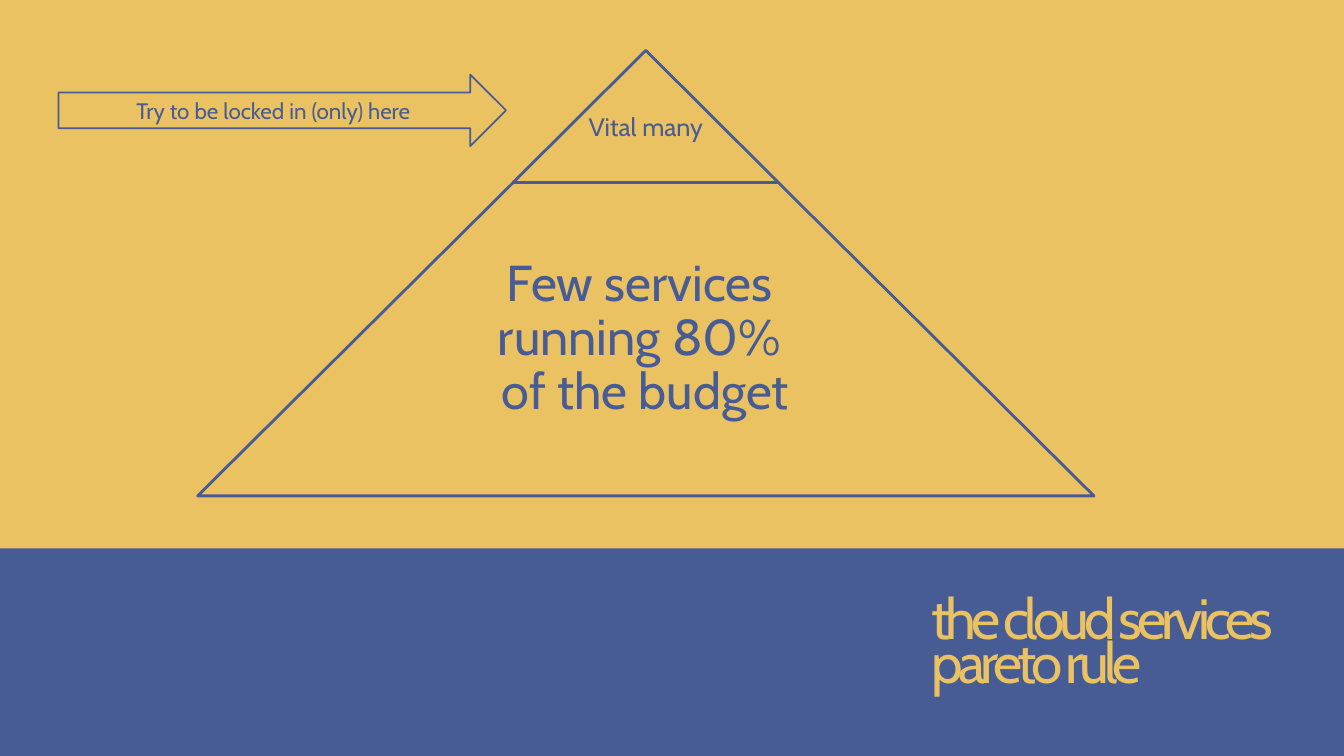
from dataclasses import dataclass

from pptx import Presentation
from pptx.dml.color import RGBColor
from pptx.enum.shapes import MSO_SHAPE
from pptx.enum.text import MSO_ANCHOR, MSO_AUTO_SIZE, PP_ALIGN
from pptx.util import Inches, Pt

FONT = "Cabin"
COLORS = {"blue": "475C95", "yellow": "EAC262"}
TIER_SLOPE = 1.007


@dataclass
class Box:
    left: float
    top: float
    width: float
    height: float

    def lengths(self):
        return [Inches(n) for n in (self.left, self.top, self.width, self.height)]


@dataclass
class Tier:
    outline: Box
    text_box: Box
    lines: list[str]
    size: float
    margin: float
    top_margin: float


TIERS = [
    Tier(Box(5.09, 0.5, 2.63, 1.31), Box(5.09, 0.5, 2.63, 1.31),
         ["Vital many"], 18, 0.02, 0.26),
    Tier(Box(1.96, 1.81, 8.89, 3.11), Box(3.51, 1.81, 5.78, 3.11),
         ["Few services ", "running 80% ", "of the budget"], 36, 0.05, 0.05),
]


def color(name: str) -> RGBColor:
    return RGBColor.from_string(COLORS[name])


def add_filled_shape(slide, kind, box: Box, fill: str, line_width: float = 0):
    """Add a flat shape, with a blue outline if a line width is given."""
    shape = slide.shapes.add_shape(kind, *box.lengths())
    shape.shadow.inherit = False
    shape.fill.solid()
    shape.fill.fore_color.rgb = color(fill)
    if line_width:
        shape.line.color.rgb = color("blue")
        shape.line.width = Pt(line_width)
    else:
        shape.line.fill.background()
    return shape


def add_run(paragraph, text: str, size: float, color_name: str):
    run = paragraph.add_run()
    run.text = text
    run.font.name = FONT
    run.font.size = Pt(size)
    run.font.color.rgb = color(color_name)
    return run


def set_margins(frame, side: float, top: float, bottom: float) -> None:
    frame.margin_left = frame.margin_right = Inches(side)
    frame.margin_top = Inches(top)
    frame.margin_bottom = Inches(bottom)


def add_tier(slide, tier: Tier) -> None:
    outline = add_filled_shape(slide, MSO_SHAPE.TRAPEZOID, tier.outline, "yellow", 2)
    outline.adjustments[0] = TIER_SLOPE
    frame = slide.shapes.add_textbox(*tier.text_box.lengths()).text_frame
    frame.word_wrap = True
    frame.vertical_anchor = MSO_ANCHOR.MIDDLE
    set_margins(frame, tier.margin, tier.top_margin, tier.margin)
    paragraph = frame.paragraphs[0]
    paragraph.alignment = PP_ALIGN.CENTER
    paragraph.line_spacing = 0.9
    for index, line in enumerate(tier.lines):
        if index:
            paragraph.add_line_break()
        add_run(paragraph, line, tier.size, "blue")


def add_arrow(slide) -> None:
    box = Box(0.58, 0.74, 4.44, 0.71)
    arrow = add_filled_shape(slide, MSO_SHAPE.RIGHT_ARROW, box, "yellow", 1.25)
    arrow.text_frame.vertical_anchor = MSO_ANCHOR.MIDDLE
    paragraph = arrow.text_frame.paragraphs[0]
    paragraph.alignment = PP_ALIGN.CENTER
    add_run(paragraph, "Try to be locked in (only) here", 16, "blue")


def format_title(slide) -> None:
    """Fill the title placeholder and bring it in front of the bands."""
    title = slide.shapes.title
    title.left, title.top, title.width, title.height = Box(9.2, 5.72, 3.79, 1.2).lengths()
    title.element.getparent().append(title.element)
    frame = title.text_frame
    frame.word_wrap = True
    frame.auto_size = MSO_AUTO_SIZE.NONE
    frame.vertical_anchor = MSO_ANCHOR.BOTTOM
    set_margins(frame, 0.04, 0.05, 0.05)
    paragraph = frame.paragraphs[0]
    paragraph.alignment = PP_ALIGN.LEFT
    paragraph.line_spacing = 0.65
    run = add_run(paragraph, "the cloud services pareto rule", 40.5, "yellow")
    run.font._element.set("spc", "-350")


def main() -> None:
    presentation = Presentation()
    presentation.slide_width = Inches(13.33)
    presentation.slide_height = Inches(7.5)
    slide = presentation.slides.add_slide(presentation.slide_layouts[5])

    add_filled_shape(slide, MSO_SHAPE.RECTANGLE, Box(0, 5.42, 13.33, 2.08), "blue")
    add_filled_shape(slide, MSO_SHAPE.RECTANGLE, Box(0, 0, 13.33, 5.44), "yellow")
    for tier in TIERS:
        add_tier(slide, tier)
    format_title(slide)
    add_arrow(slide)
    presentation.save("out.pptx")


if __name__ == "__main__":
    main()
